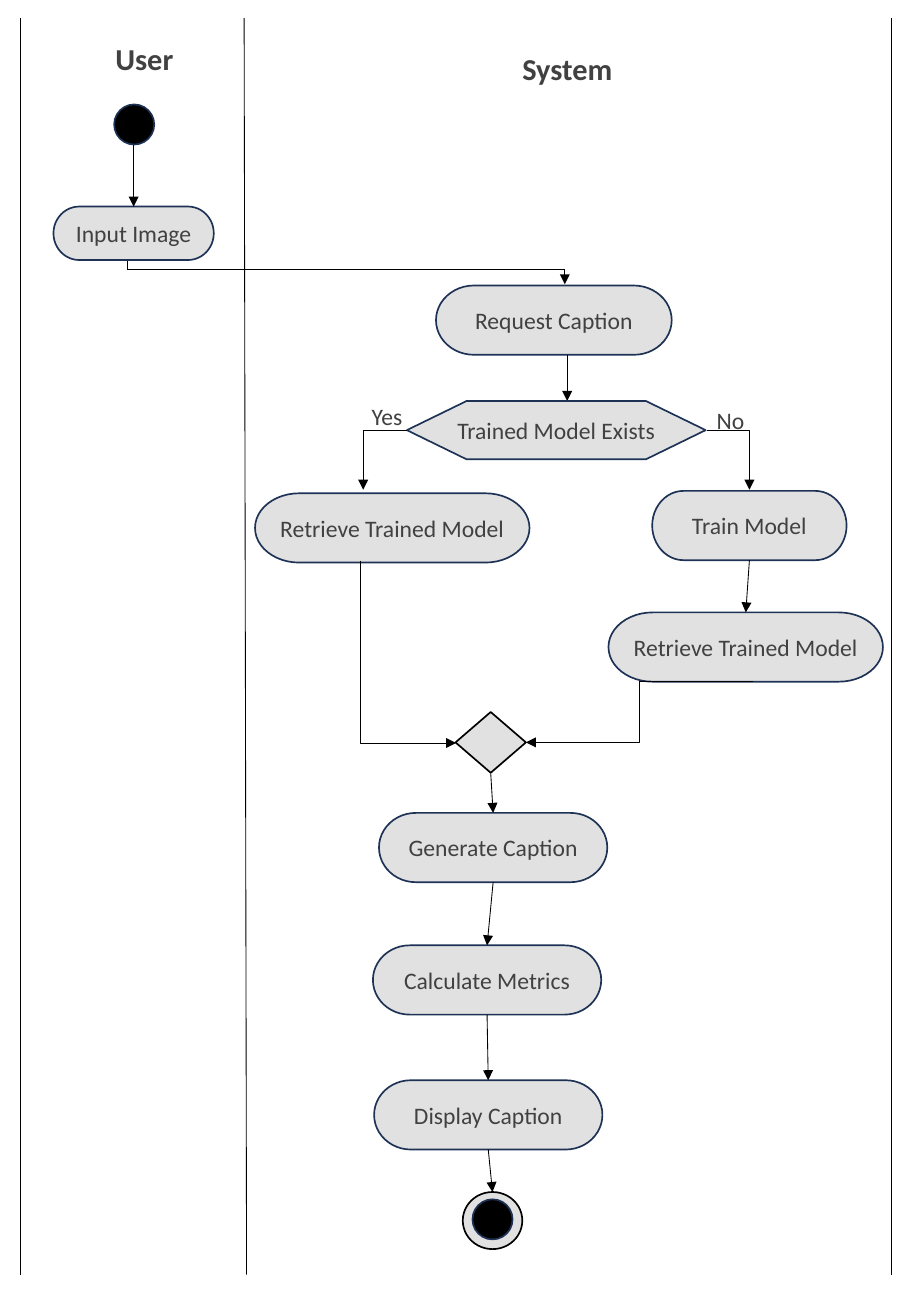
from dataclasses import dataclass

from lxml.etree import SubElement
from pptx import Presentation
from pptx.dml.color import RGBColor
from pptx.enum.shapes import MSO_CONNECTOR, MSO_SHAPE
from pptx.enum.text import MSO_ANCHOR, PP_ALIGN
from pptx.oxml.ns import qn
from pptx.util import Inches, Pt


@dataclass(frozen=True)
class Theme:
    font: str = "Calibri"
    body: int = 14
    head: int = 18
    ink: RGBColor = RGBColor(0x41, 0x41, 0x41)
    fill: RGBColor = RGBColor(0xE1, 0xE1, 0xE1)
    edge: RGBColor = RGBColor(0x1E, 0x32, 0x56)
    black: RGBColor = RGBColor(0, 0, 0)
    thin: float = 0.5
    thick: float = 1


THEME = Theme()
TOP, LEFT, BOTTOM, RIGHT = range(4)


def write(frame, text, size=THEME.body, bold=False, align=PP_ALIGN.CENTER,
          anchor=MSO_ANCHOR.MIDDLE, wrap=False):
    frame.margin_left = frame.margin_right = 0
    frame.margin_top = frame.margin_bottom = 0
    frame.word_wrap = wrap
    frame.vertical_anchor = anchor
    para = frame.paragraphs[0]
    para.alignment = align
    run = para.add_run()
    run.text = text
    run.font.name = THEME.font
    run.font.size = Pt(size)
    run.font.bold = bold
    run.font.color.rgb = THEME.ink


def label(slide, text, left, top, **style):
    box = slide.shapes.add_textbox(
        Inches(left), Inches(top), Inches(1.2), Inches(0.34))
    write(box.text_frame, text, align=PP_ALIGN.LEFT, anchor=MSO_ANCHOR.TOP,
          wrap=True, **style)


def node(slide, kind, left, top, width, height, text="",
         fill=THEME.fill, edge=THEME.edge):
    shape = slide.shapes.add_shape(
        kind, Inches(left), Inches(top), Inches(width), Inches(height))
    shape.shadow.inherit = False
    shape.fill.solid()
    shape.fill.fore_color.rgb = fill
    shape.line.color.rgb = edge
    shape.line.width = Pt(THEME.thick)
    if text:
        write(shape.text_frame, text)
    return shape


def step(slide, text, left, top, width, height=0.57):
    return node(slide, MSO_SHAPE.FLOWCHART_TERMINATOR,
                left, top, width, height, text)


def dot(slide, left, top):
    return node(slide, MSO_SHAPE.OVAL, left, top, 0.33, 0.33, fill=THEME.black)


def line(slide, start, end, arrow=True, kind=MSO_CONNECTOR.STRAIGHT):
    wire = slide.shapes.add_connector(
        kind, *(Inches(value) for value in (*start, *end)))
    wire.line.color.rgb = THEME.black
    wire.line.width = Pt(THEME.thin)
    props = wire._element.spPr
    if arrow:
        SubElement(props.find(qn("a:ln")), qn("a:tailEnd"), type="triangle")
    SubElement(props, qn("a:effectLst"))
    return wire


def link(slide, above, below):
    """Join the bottom of one shape to the top of the next."""
    wire = line(slide, (0, 0), (1, 1))
    wire.begin_connect(above, BOTTOM)
    wire.end_connect(below, TOP)


def elbow(slide, start, end, turn=0, bends=1):
    """Bent arrow; start and end are the corners before the turn."""
    wire = line(slide, start, end, kind=MSO_CONNECTOR.ELBOW)
    wire.rotation = turn
    shape = wire._element.spPr.find(qn("a:prstGeom"))
    shape.set("prst", f"bentConnector{bends + 1}")


def lanes(slide):
    for top, foot in ((0.17, 0.17), (2.01, 2.03), (7.34, 7.34)):
        line(slide, (top, 0.15), (foot, 10.49), arrow=False)
    label(slide, "User", 0.95, 0.33, size=THEME.head, bold=True)
    label(slide, "System", 4.3, 0.41, size=THEME.head, bold=True)


def request(slide):
    # User lane
    dot(slide, 0.94, 0.86)
    image = step(slide, "Input Image", 0.44, 1.7, 1.32, 0.44)
    line(slide, (1.1, 1.19), (1.1, 1.7)).end_connect(image, TOP)

    # Crossing into the system lane
    route = ((1.05, 2.15), (1.05, 2.22), (4.65, 2.22), (4.65, 2.34))
    for start, end in zip(route, route[1:]):
        line(slide, start, end, arrow=end == route[-1])
    step(slide, "Request Caption", 3.59, 2.35, 1.94)
    line(slide, (4.67, 2.92), (4.67, 3.3))


def branch(slide):
    # Decision and its two outcomes
    node(slide, MSO_SHAPE.FLOWCHART_PREPARATION, 3.35, 3.3, 2.46, 0.48,
         "Trained Model Exists")
    label(slide, "Yes", 3.06, 3.31)
    label(slide, "No", 5.9, 3.34)
    step(slide, "Retrieve Trained Model", 2.1, 4.06, 2.26)
    train = step(slide, "Train Model", 5.37, 4.04, 1.6)
    fetch = step(slide, "Retrieve Trained Model", 5.01, 5.04, 2.26)
    elbow(slide, (2.99, 4.03), (3.35, 3.54), turn=180)
    elbow(slide, (5.82, 3.54), (6.17, 4.03))
    link(slide, train, fetch)

    # Both branches merge
    merge = node(slide, MSO_SHAPE.FLOWCHART_DECISION, 3.75, 5.86, 0.58, 0.5,
                 edge=THEME.black)
    elbow(slide, (4.11, 4.97), (2.61, 5.76), turn=270)
    elbow(slide, (4.33, 6.11), (6.2, 5.61), turn=180, bends=2)
    return merge


def finish(slide, merge):
    chain = [merge]
    for text, left, top in (("Generate Caption", 3.12, 6.69),
                            ("Calculate Metrics", 3.07, 7.78),
                            ("Display Caption", 3.08, 8.89)):
        chain.append(step(slide, text, left, top, 1.88))
    # End marker
    chain.append(node(slide, MSO_SHAPE.OVAL, 3.81, 9.81, 0.49, 0.47,
                      edge=THEME.black))
    dot(slide, 3.89, 9.87)
    for above, below in zip(chain, chain[1:]):
        link(slide, above, below)


def main():
    deck = Presentation()
    deck.slide_width = Inches(7.5)
    deck.slide_height = Inches(10.83)
    slide = deck.slides.add_slide(deck.slide_layouts[6])
    lanes(slide)
    request(slide)
    merge = branch(slide)
    finish(slide, merge)
    deck.save("out.pptx")


if __name__ == "__main__":
    main()
